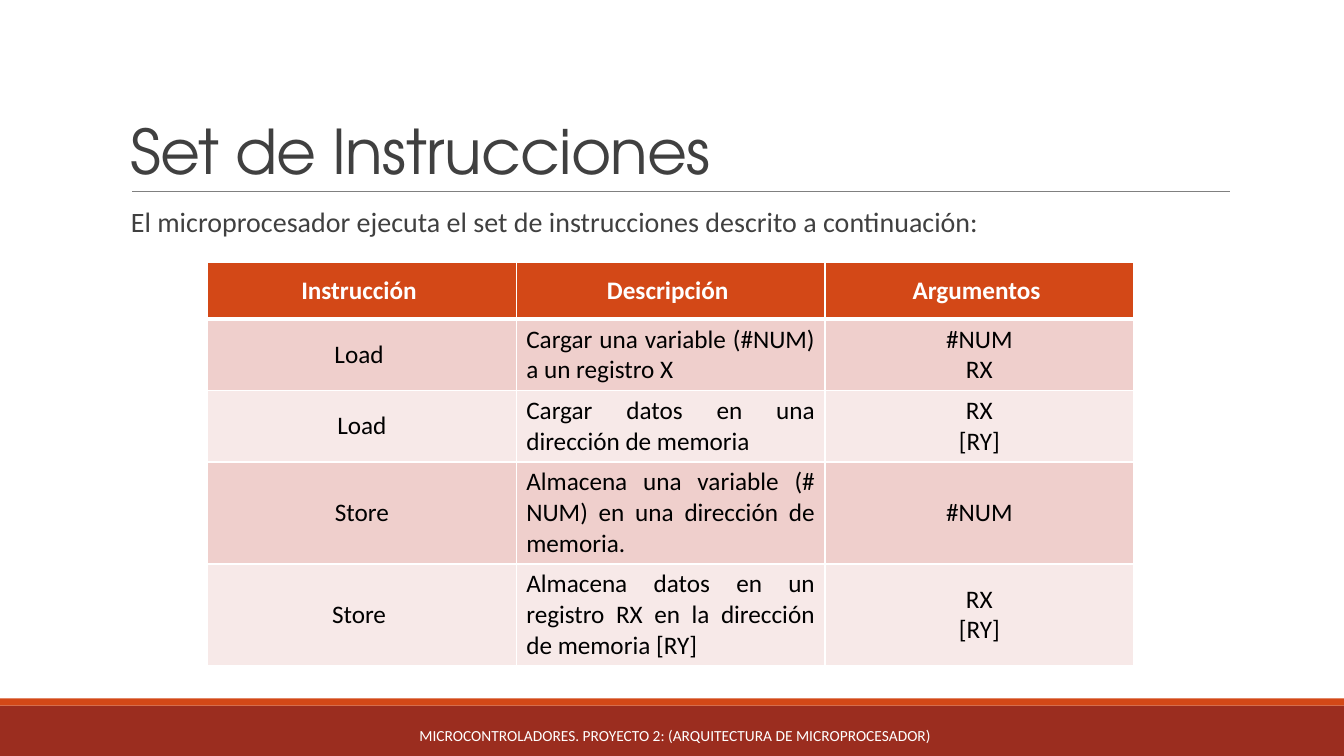
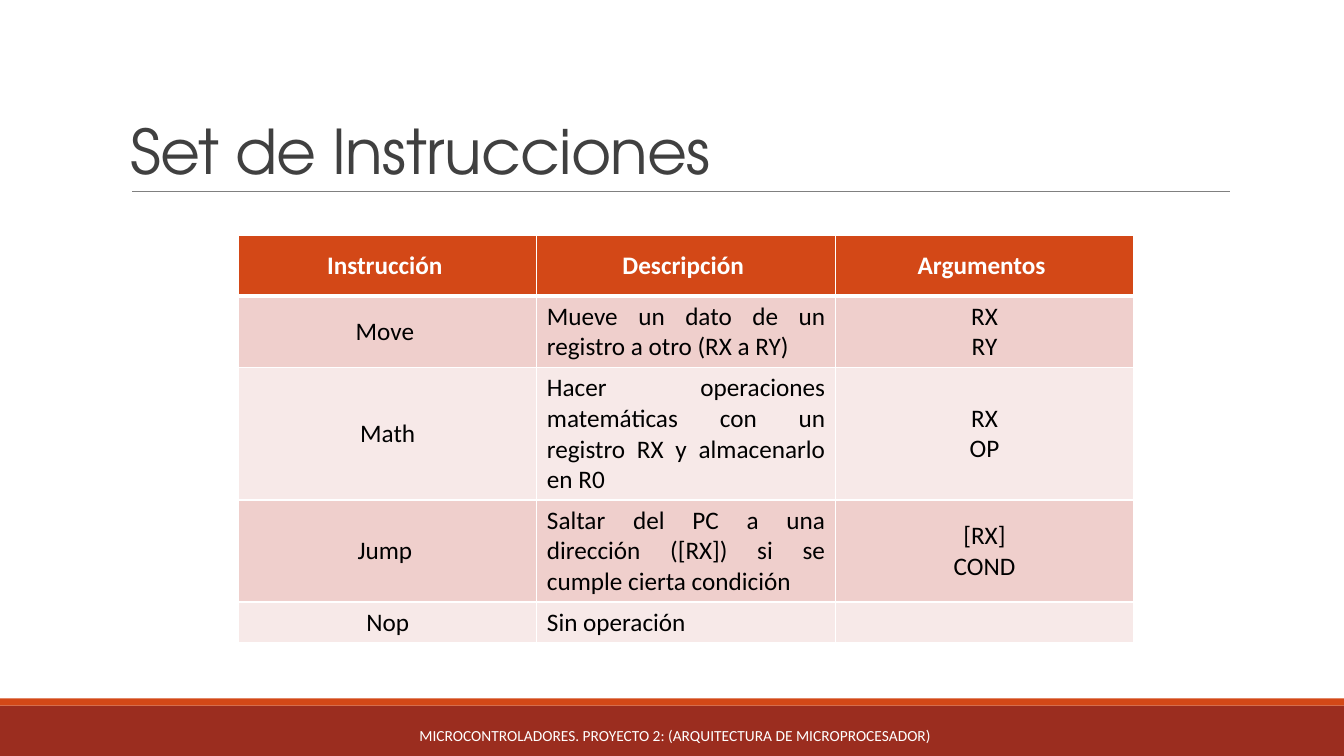
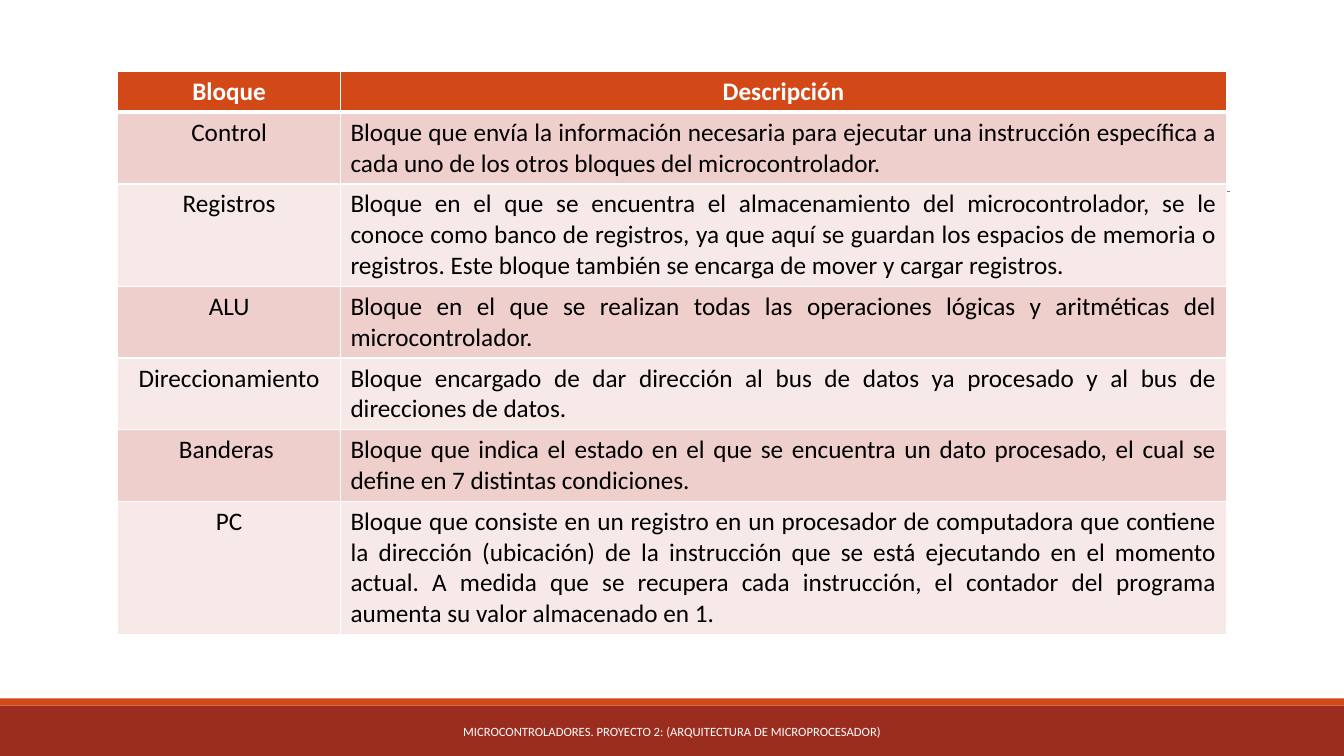
from lxml.etree import SubElement
from pptx import Presentation
from pptx.dml.color import RGBColor
from pptx.enum.shapes import MSO_CONNECTOR, MSO_SHAPE
from pptx.enum.text import MSO_ANCHOR, PP_ALIGN
from pptx.oxml.ns import qn
from pptx.util import Cm, Pt

WIDTH, HEIGHT = 33.87, 19.05
COLORS = {
    "band": "9B2D1F", "accent": "D34817", "rule": "808080", "ink": "404040",
    "black": "000000", "white": "FFFFFF", "odd": "EFCFCC", "even": "F7E9E8",
}
BODY, HEAD = "Calibri", "TeX Gyre Adventor"
FOOTER = "MICROCONTROLADORES. PROYECTO 2: (ARQUITECTURA DE MICROPROCESADOR)"
TITLE = "Set de Instrucciones"
INTRO = "El microprocesador ejecuta el set de instrucciones descrito a continuación:"
HEADER = ("Instrucción ", "Descripción ", "Argumentos ")

# Each row ends with the number of text lines it must hold.
MEMORY = [
    ("Load ", "Cargar una variable (#NUM) a un registro X", "#NUM\nRX", 2),
    ("Load", "Cargar datos en una dirección de memoria", "RX\n[RY]", 2),
    ("Store", "Almacena una variable (# NUM) en una dirección de memoria. ", "#NUM", 3),
    ("Store ", "Almacena datos en un registro RX en la dirección de memoria [RY]",
     "RX\n[RY]", 3),
]
CONTROL = [
    ("Move ", "Mueve un dato de un registro a otro (RX a RY)", "RX\nRY", 2),
    ("Math", "Hacer operaciones matemáticas con un registro RX y almacenarlo en R0",
     "RX\nOP", 4),
    ("Jump ", "Saltar del PC a una dirección ([RX]) si se cumple cierta condición ",
     "[RX]\nCOND", 3),
    ("Nop", "Sin operación", "", 1),
]
BLOCKS = [
    ("Control", "Bloque que envía la información necesaria para ejecutar una instrucción "
     "específica a cada uno de los otros bloques del microcontrolador.", 2),
    ("Registros", "Bloque en el que se encuentra el almacenamiento del microcontrolador, "
     "se le conoce como banco de registros, ya que aquí se guardan los espacios de memoria "
     "o registros. Este bloque también se encarga de mover y cargar registros.", 3),
    ("ALU", "Bloque en el que se realizan todas las operaciones lógicas y aritméticas del "
     "microcontrolador.", 2),
    ("Direccionamiento", "Bloque encargado de dar dirección al bus de datos ya procesado y "
     "al bus de direcciones de datos.", 2),
    ("Banderas ", "Bloque que indica el estado en el que se encuentra un dato procesado, "
     "el cual se define en 7 distintas condiciones.", 2),
    ("PC", "Bloque que consiste en un registro en un procesador de computadora que contiene "
     "la dirección (ubicación) de la instrucción que se está ejecutando en el momento "
     "actual. A medida que se recupera cada instrucción, el contador del programa aumenta "
     "su valor almacenado en 1.", 4),
]


def rgb(name):
    return RGBColor.from_string(COLORS[name])


def write(frame, text, size=18, font=BODY, color="black", bold=False,
          align=PP_ALIGN.LEFT, spacing=None, track=None):
    """Fill a text frame, one paragraph per line of text."""
    frame.word_wrap = True
    for i, line in enumerate(text.split("\n")):
        para = frame.add_paragraph() if i else frame.paragraphs[0]
        para.alignment = align
        if spacing:
            para.line_spacing = spacing
        para.font.size = Pt(size)
        if not line:
            continue
        run = para.add_run()
        run.text = line
        run.font.size, run.font.name, run.font.bold = Pt(size), font, bold
        run.font.color.rgb = rgb(color)
        if track:
            run.font._element.set("spc", str(int(track * 100)))


def add_text(slide, box, text, anchor=MSO_ANCHOR.TOP, **style):
    frame = slide.shapes.add_textbox(*map(Cm, box)).text_frame
    frame.vertical_anchor = anchor
    write(frame, text, **style)


def add_band(slide, top, height, color):
    band = slide.shapes.add_shape(
        MSO_SHAPE.RECTANGLE, 0, Cm(top), Cm(WIDTH), Cm(height))
    band.shadow.inherit = False
    band.fill.solid()
    band.fill.fore_color.rgb = rgb(color)
    band.line.fill.background()


def add_frame(deck):
    """Add a slide with the bands and the rule that all slides share."""
    slide = deck.slides.add_slide(deck.slide_layouts[6])
    add_band(slide, 17.78, 1.27, "band")
    add_band(slide, 17.6, 0.18, "accent")
    rule = slide.shapes.add_connector(
        MSO_CONNECTOR.STRAIGHT, Cm(3.33), Cm(4.82), Cm(31), Cm(4.82))
    rule.line.color.rgb = rgb("rule")
    rule.line.width = Pt(0.5)
    SubElement(rule._element.spPr, qn("a:effectLst"))
    return slide


def add_title(slide):
    add_text(slide, (3.05, 0.79, 27.94, 4.04), TITLE, anchor=MSO_ANCHOR.BOTTOM,
             size=44, font=HEAD, color="ink", spacing=0.85, track=-0.5)


def add_footer(slide, left=9.92, top=18.03, size=11):
    add_text(slide, (left, top, 14.2, 1.02), FOOTER, anchor=MSO_ANCHOR.MIDDLE,
             size=size, color="white", align=PP_ALIGN.CENTER)


def add_borders(cell, row):
    """Draw white edges, thick between the header and the first row."""
    widths = {"L": 1, "R": 1, "T": 3 if row == 1 else 1, "B": 1 if row else 3}
    props = cell._tc.get_or_add_tcPr()
    for side, width in widths.items():
        edge = SubElement(props, qn("a:ln" + side), w=str(Pt(width)))
        fill = SubElement(edge, qn("a:solidFill"))
        SubElement(fill, qn("a:srgbClr"), val=COLORS["white"])


def add_grid(slide, left, top, cols, header, rows, head, anchor=MSO_ANCHOR.MIDDLE):
    """Place a table; head is the header's height, cols the column widths."""
    heights = [head] + [0.26 + 0.77 * row[-1] for row in rows]
    texts = [header] + [row[:-1] for row in rows]
    table = slide.shapes.add_table(
        len(texts), len(cols), Cm(left), Cm(top), Cm(sum(cols)), Cm(sum(heights))).table
    for c, width in enumerate(cols):
        table.columns[c].width = Cm(width)
    for r, line in enumerate(texts):
        table.rows[r].height = Cm(heights[r])
        shade = ("odd" if r % 2 else "even") if r else "accent"
        for c, text in enumerate(line):
            cell = table.cell(r, c)
            add_borders(cell, r)
            cell.fill.solid()
            cell.fill.fore_color.rgb = rgb(shade)
            cell.vertical_anchor = anchor
            write(cell.text_frame, text, bold=not r,
                  color="black" if r else "white",
                  align=PP_ALIGN.JUSTIFY if r and c == 1 else PP_ALIGN.CENTER)


def add_memory(deck):
    slide = add_frame(deck)
    add_title(slide)
    add_text(slide, (3.05, 5.13, 27.94, 1.2), INTRO, size=20, color="ink",
             align=PP_ALIGN.JUSTIFY, spacing=0.9)
    add_grid(slide, 5.23, 6.62, [7.78] * 3, HEADER, MEMORY, 1.42)
    add_footer(slide)


def add_control(deck):
    slide = add_frame(deck)
    add_title(slide)
    add_grid(slide, 6.01, 5.94, [7.52] * 3, HEADER, CONTROL, 1.52)
    add_footer(slide)


def add_blocks(deck):
    slide = add_frame(deck)
    add_grid(slide, 2.97, 1.8, [5.61, 22.33], ("Bloque", "Descripción"), BLOCKS,
             1.03, anchor=MSO_ANCHOR.TOP)
    add_footer(slide, left=9.83, top=17.93, size=9)


def main():
    deck = Presentation()
    deck.slide_width, deck.slide_height = Cm(WIDTH), Cm(HEIGHT)
    for build in (add_memory, add_control, add_blocks):
        build(deck)
    deck.save("out.pptx")


if __name__ == "__main__":
    main()
